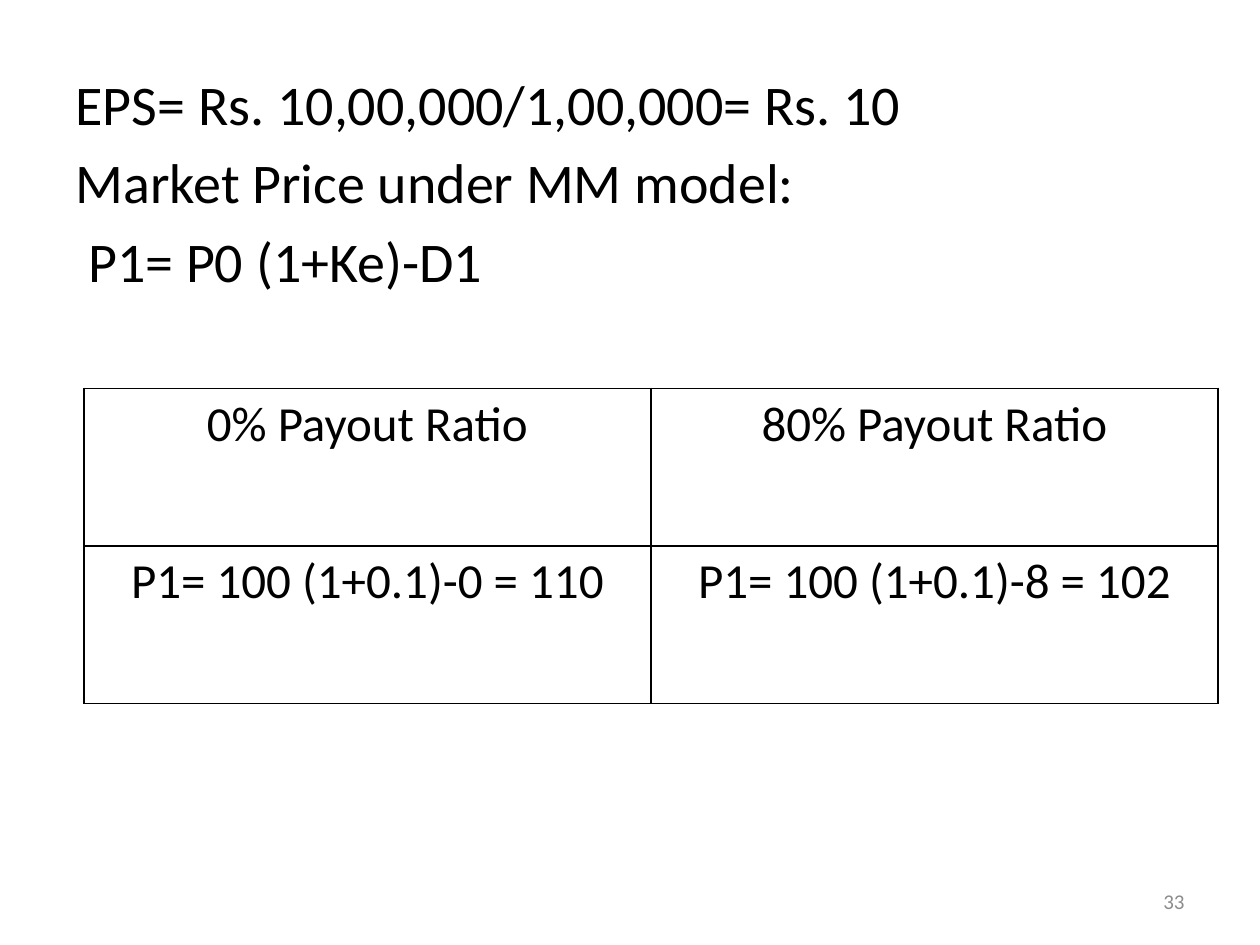
from lxml import etree
from pptx import Presentation
from pptx.dml.color import RGBColor
from pptx.enum.text import MSO_ANCHOR, MSO_AUTO_SIZE, PP_ALIGN
from pptx.oxml.ns import qn
from pptx.util import Cm, Pt

LEFT, CENTER, RIGHT = PP_ALIGN.LEFT, PP_ALIGN.CENTER, PP_ALIGN.RIGHT
MIDDLE = MSO_ANCHOR.MIDDLE
NO_FIT = MSO_AUTO_SIZE.NONE
BORDER_SIDES = ("a:lnL", "a:lnR", "a:lnT", "a:lnB")


def color(value):
    """Turn a hex string into a colour."""
    return RGBColor.from_string(value)


class PageBuilder:
    """Hold the style and the current page, and add elements to it."""

    font = "Calibri"
    ink = "000000"
    muted = "8C8C8C"

    def __init__(self, deck):
        """Add a page with a body placeholder and no title."""
        self.page = deck.slides.add_slide(deck.slide_layouts[1])
        title = self.page.shapes.title
        title.element.getparent().remove(title.element)

    def add_span(self, para, text, size, ink, align):
        """Put one formatted span into a paragraph."""
        para.alignment = align
        span = para.add_run()
        span.text = text
        for name, value in {"name": self.font, "size": Pt(size)}.items():
            setattr(span.font, name, value)
        span.font.color.rgb = color(ink)

    def body(self, lines, place):
        """Fill the body placeholder with lines on a hanging indent."""
        box = self.page.placeholders[1]
        for name, value in place.items():
            setattr(box, name, Cm(value))
        frame = box.text_frame
        frame.auto_size = NO_FIT
        for index, line in enumerate(lines):
            para = frame.add_paragraph() if index else frame.paragraphs[0]
            self.add_span(para, line, 32, self.ink, LEFT)
            properties = para._p.get_or_add_pPr()
            properties.set("marL", str(Cm(0.95)))
            properties.set("indent", str(Cm(-0.95)))
            etree.SubElement(properties, qn("a:buNone"))

    def page_number(self, number, place):
        """Add the page number as right-aligned text."""
        box = self.page.shapes.add_textbox(*map(Cm, place))
        frame = box.text_frame
        for name, value in {"word_wrap": True, "vertical_anchor": MIDDLE}.items():
            setattr(frame, name, value)
        self.add_span(frame.paragraphs[0], number, 12, self.muted, RIGHT)

    def border(self, cell):
        """Draw a thin line on every side of a cell."""
        properties = cell._tc.get_or_add_tcPr()
        for side in BORDER_SIDES:
            line = etree.SubElement(properties, qn(side), w=str(Pt(1)))
            fill = etree.SubElement(line, qn("a:solidFill"))
            etree.SubElement(fill, qn("a:srgbClr"), val=self.ink)

    def table(self, rows, place):
        """Add a plain bordered table with equal cells."""
        frame = self.page.shapes.add_table(len(rows), len(rows[0]), *map(Cm, place))
        grid = frame.table
        for name in ("first_row", "horz_banding"):
            setattr(grid, name, False)
        for row, texts in zip(grid.rows, rows):
            for cell, text in zip(row.cells, texts):
                self.add_span(cell.text_frame.paragraphs[0], text, 28, self.ink, CENTER)
                self.border(cell)
                cell.fill.background()


def main():
    """Build the payout ratio page."""
    deck = Presentation()
    deck.slide_width, deck.slide_height = Cm(25.4), Cm(19.05)
    builder = PageBuilder(deck)
    builder.body(
        [
            "EPS= Rs. 10,00,000/1,00,000= Rs. 10",
            "Market Price under MM model:",
            " P1= P0 (1+Ke)-D1",
        ],
        {"left": 1.27, "top": 1.27, "width": 22.86, "height": 15.75},
    )
    builder.page_number("33", (18.2, 17.66, 5.93, 1.01))
    builder.table(
        [
            ["0% Payout Ratio", "80% Payout Ratio"],
            ["P1= 100 (1+0.1)-0 = 110", "P1= 100 (1+0.1)-8 = 102"],
        ],
        (1.69, 7.83, 22.86, 6.35),
    )
    deck.save("out.pptx")


if __name__ == "__main__":
    main()
